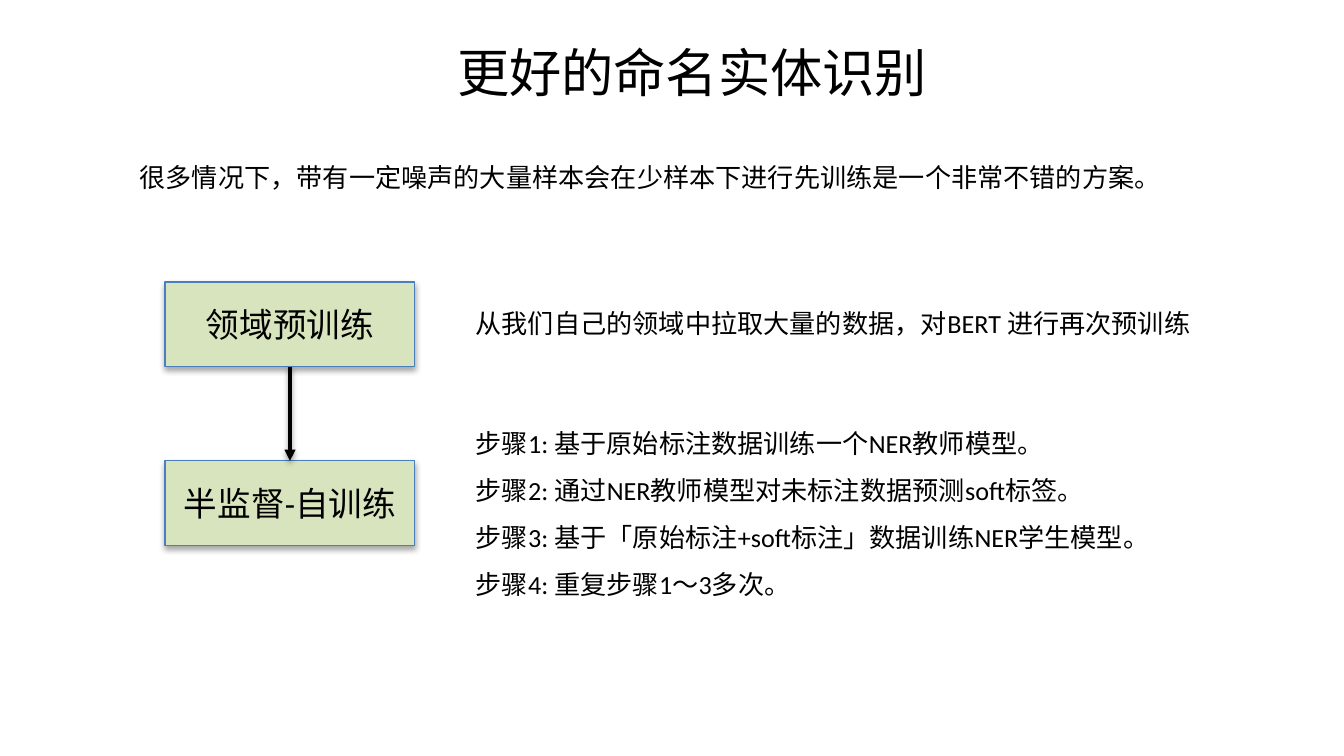
from lxml.etree import SubElement
from pptx import Presentation
from pptx.dml.color import RGBColor
from pptx.enum.shapes import MSO_CONNECTOR, MSO_SHAPE
from pptx.enum.text import MSO_ANCHOR, MSO_AUTO_SIZE, PP_ALIGN
from pptx.oxml.ns import qn
from pptx.util import Cm, Pt

COLORS = {"ink": "000000", "box": "D7E4BD", "edge": "4B7EBC"}
TITLE = "更好的命名实体识别"
INTRO = "很多情况下，带有一定噪声的大量样本会在少样本下进行先训练是一个非常不错的方案。"
STAGES = ["领域预训练", "半监督-自训练"]
DOMAIN = "从我们自己的领域中拉取大量的数据，对BERT 进行再次预训练"
STEPS = [
    "步骤1: 基于原始标注数据训练一个NER教师模型。",
    "步骤2: 通过NER教师模型对未标注数据预测soft标签。",
    "步骤3: 基于「原始标注+soft标注」数据训练NER学生模型。",
    "步骤4: 重复步骤1～3多次。",
]


def color(name):
    """Return the named colour."""
    return RGBColor.from_string(COLORS[name])


def write(frame, lines, size, align=PP_ALIGN.LEFT, space=None):
    """Fill a text frame with one paragraph per line."""
    frame.word_wrap = True
    frame.text = "\n".join(lines)
    for para in frame.paragraphs:
        para.alignment = align
        para.line_spacing = space
        para.font.size = Pt(size)
        para.font.name = "Calibri"
        para.font.color.rgb = color("ink")


def shade(shape, drop, alpha):
    """Give a shape a soft shadow straight below it."""
    props = shape._element.spPr
    effects = SubElement(props, qn("a:effectLst"))
    outer = SubElement(effects, qn("a:outerShdw"), blurRad=str(Pt(3.1)),
                       dist=str(Pt(drop)), dir="5400000", rotWithShape="0")
    tint = SubElement(outer, qn("a:srgbClr"), val=COLORS["ink"])
    SubElement(tint, qn("a:alpha"), val=str(alpha * 1000))


def add_title(slide, left, top, width, height):
    """Place and format the title."""
    title = slide.shapes.title
    title.left, title.top = Cm(left), Cm(top)
    title.width, title.height = Cm(width), Cm(height)
    write(title.text_frame, [TITLE], 28, PP_ALIGN.CENTER)
    title.text_frame.auto_size = MSO_AUTO_SIZE.NONE
    title.text_frame.vertical_anchor = MSO_ANCHOR.TOP


def add_text(slide, lines, left, top, width, height, space=None):
    """Add a block of body text."""
    box = slide.shapes.add_textbox(Cm(left), Cm(top), Cm(width), Cm(height))
    write(box.text_frame, lines, 14, space=space)


def add_flow(slide, left, top, width, height, tall=1.6):
    """Stack the stages in the given box and join them with arrows."""
    step = (height - tall) / (len(STAGES) - 1)
    boxes = []
    for i, label in enumerate(STAGES):
        box = slide.shapes.add_shape(
            MSO_SHAPE.RECTANGLE, Cm(left), Cm(top + i * step), Cm(width), Cm(tall))
        box.fill.solid()
        box.fill.fore_color.rgb = color("box")
        box.line.color.rgb = color("edge")
        box.line.width = Pt(0.75)
        shade(box, 1.8, 35)
        write(box.text_frame, [label], 18, PP_ALIGN.CENTER)
        box.text_frame.vertical_anchor = MSO_ANCHOR.MIDDLE
        boxes.append(box)
    for start, end in zip(boxes, boxes[1:]):
        arrow = slide.shapes.add_connector(MSO_CONNECTOR.STRAIGHT, 0, 0, 0, 0)
        arrow.begin_connect(start, 2)
        arrow.end_connect(end, 0)
        arrow.line.color.rgb = color("ink")
        arrow.line.width = Pt(2)
        SubElement(arrow.line._get_or_add_ln(), qn("a:tailEnd"), type="triangle")
        shade(arrow, 1.6, 38)


def main():
    """Build the slide and save it."""
    deck = Presentation()
    deck.slide_width, deck.slide_height = Cm(25.4), Cm(14.29)
    slide = deck.slides.add_slide(deck.slide_layouts[5])
    add_title(slide, 3.86, 0.63, 18.44, 1.45)
    add_text(slide, [INTRO], 2.39, 2.92, 20.47, 0.86)
    add_flow(slide, 3.12, 5.33, 4.72, 4.98)
    add_text(slide, [DOMAIN], 8.74, 5.69, 14.12, 0.86)
    add_text(slide, STEPS, 8.74, 7.65, 13.36, 3.73, space=1.5)
    deck.save("out.pptx")


if __name__ == "__main__":
    main()
